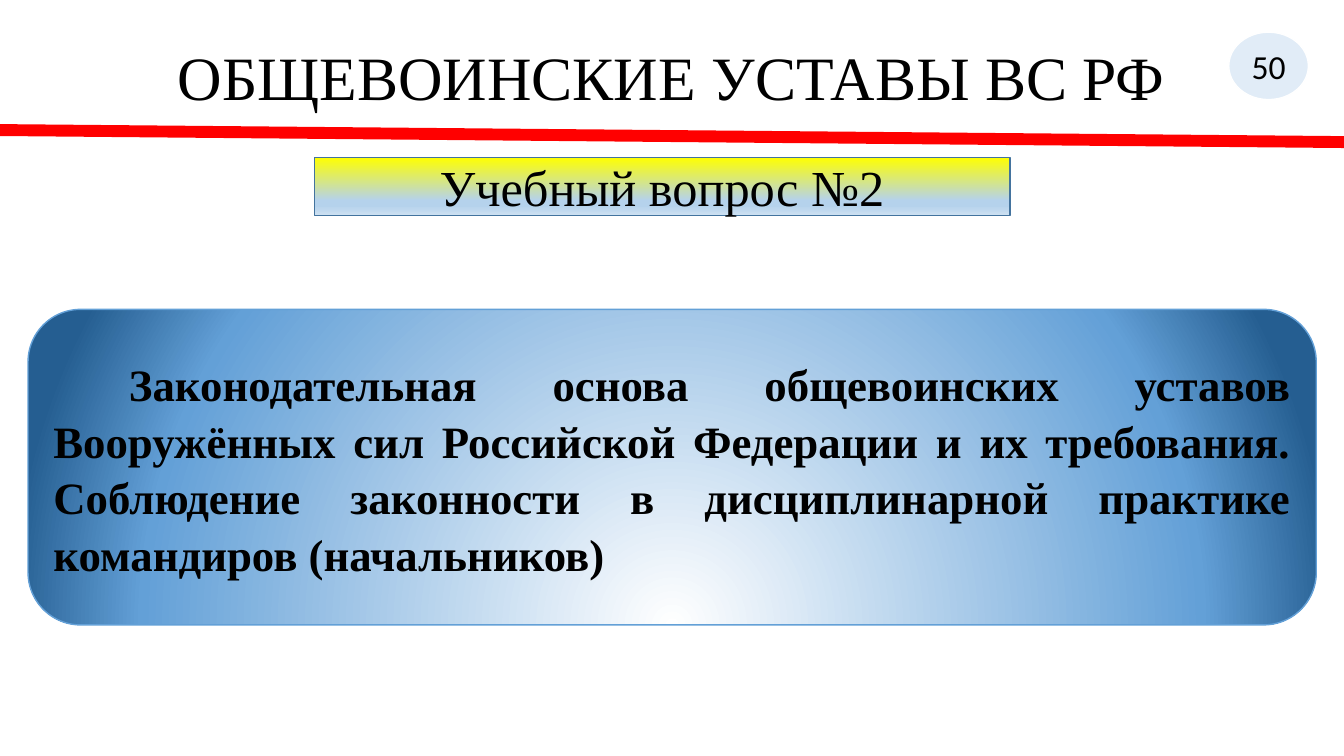
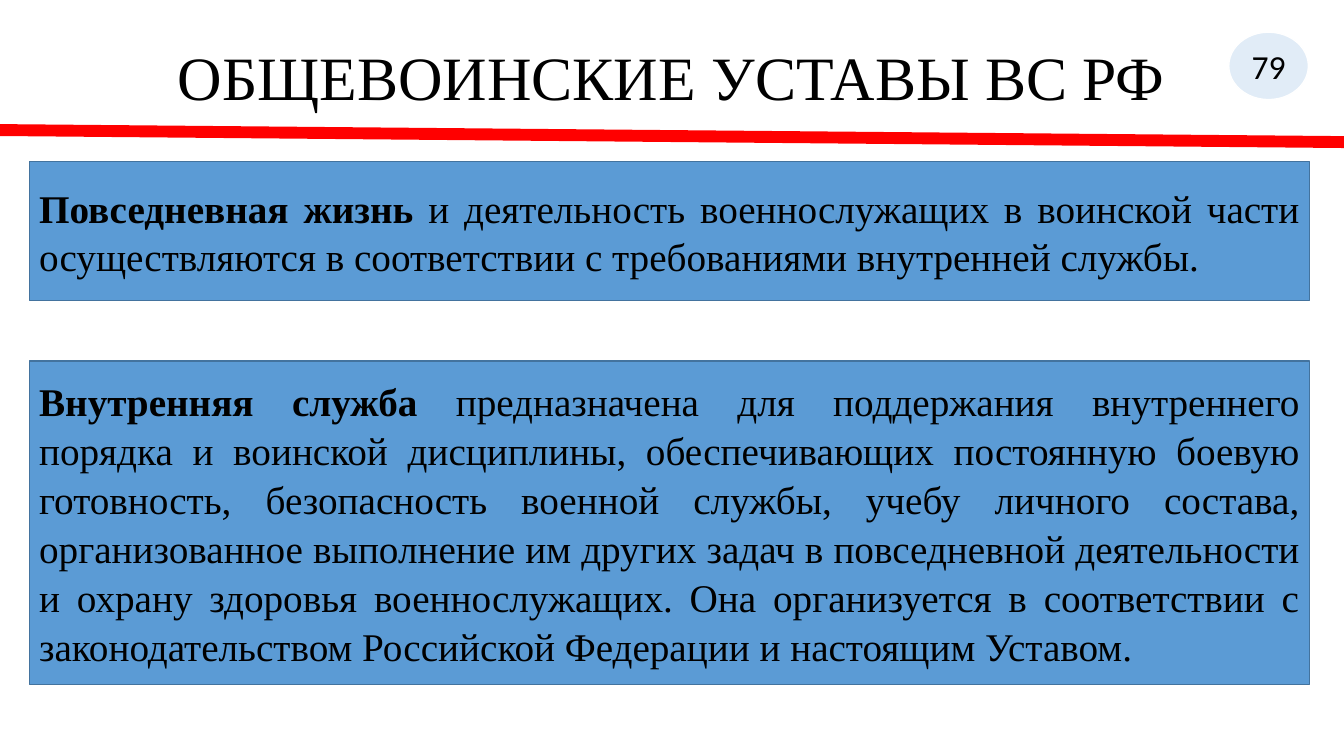
from dataclasses import dataclass
from typing import Optional

from lxml import etree
from pptx import Presentation
from pptx.dml.color import RGBColor
from pptx.enum.shapes import MSO_CONNECTOR, MSO_SHAPE
from pptx.enum.text import MSO_ANCHOR, MSO_AUTO_SIZE, PP_ALIGN
from pptx.oxml.ns import qn
from pptx.util import Pt

RECT, ROUND, OVAL = MSO_SHAPE.RECTANGLE, MSO_SHAPE.ROUNDED_RECTANGLE, MSO_SHAPE.OVAL
STRAIGHT = MSO_CONNECTOR.STRAIGHT
CENTER, JUSTIFY = PP_ALIGN.CENTER, PP_ALIGN.JUSTIFY
MIDDLE, FIXED = MSO_ANCHOR.MIDDLE, MSO_AUTO_SIZE.NONE

WIDE, HIGH = 960, 540
SERIF, SANS = "Times New Roman", "Calibri"
BLACK, WHITE, RED = "000000", "FFFFFF", "FF0000"
BLUE, EDGE, LIGHT = "5B9BD5", "43739E", "63A0D7"
TITLE = "ОБЩЕВОИНСКИЕ УСТАВЫ ВС РФ"


@dataclass
class Fade:
    stops: list[tuple[int, str]]
    angle: int = 0
    focus: Optional[tuple[int, int, int, int]] = None  # l, t, r, b in percent


@dataclass
class Box:
    left: float
    top: float
    width: float
    height: float
    runs: list[tuple[str, bool]]
    size: float
    kind: MSO_SHAPE = RECT
    fill: str | Fade = BLUE
    line: str = EDGE
    align: PP_ALIGN = JUSTIFY
    font: str = SERIF
    alpha: int = 100
    lead: float = 1.0
    indent: float = 0


@dataclass
class Page:
    number: str
    boxes: list[Box]


def color(code: str) -> RGBColor:
    return RGBColor.from_string(code)


def style(font, name: str, size: float, bold: bool = False) -> None:
    font.name, font.size, font.bold = name, Pt(size), bold
    font.color.rgb = color(BLACK)


def blend(shape, fade: Fade) -> None:
    """Fill a shape with a linear or circular gradient."""
    shape.fill.gradient()
    grad = shape.element.spPr.find(qn("a:gradFill"))
    for child in list(grad):
        grad.remove(child)
    stops = etree.SubElement(grad, qn("a:gsLst"))
    for place, code in fade.stops:
        stop = etree.SubElement(stops, qn("a:gs"), pos=str(place * 1000))
        etree.SubElement(stop, qn("a:srgbClr"), val=code)
    if fade.focus:
        ring = etree.SubElement(grad, qn("a:path"), {"path": "circle"})
        sides = {side: str(part * 1000) for side, part in zip("ltrb", fade.focus)}
        etree.SubElement(ring, qn("a:fillToRect"), sides)
    else:
        etree.SubElement(grad, qn("a:lin"), ang=str(fade.angle * 60000), scaled="0")


def draw(slide, box: Box) -> None:
    shape = slide.shapes.add_shape(
        box.kind, Pt(box.left), Pt(box.top), Pt(box.width), Pt(box.height))
    shape.shadow.inherit = False
    if isinstance(box.fill, Fade):
        blend(shape, box.fill)
    else:
        shape.fill.solid()
        shape.fill.fore_color.rgb = color(box.fill)
        if box.alpha < 100:
            tint = shape.element.spPr.find(qn("a:solidFill"))[0]
            etree.SubElement(tint, qn("a:alpha"), val=str(box.alpha * 1000))
    shape.line.color.rgb = color(box.line)
    shape.line.width = Pt(1)

    # Text
    frame = shape.text_frame
    frame.word_wrap = True
    frame.vertical_anchor = MIDDLE
    para = frame.paragraphs[0]
    para.alignment, para.line_spacing = box.align, box.lead
    if box.indent:
        props = para._p.get_or_add_pPr()
        props.set("marL", "0")
        props.set("indent", str(Pt(box.indent)))
    for text, bold in box.runs:
        run = para.add_run()
        run.text = text
        style(run.font, box.font, box.size, bold)


def frame_page(slide, number: str) -> None:
    """Draw the title, red rule and page badge."""
    title = slide.shapes.title
    title.left, title.top, title.width, title.height = Pt(66), Pt(27), Pt(828), Pt(54)
    text = title.text_frame
    text.text = TITLE
    text.auto_size, text.vertical_anchor = FIXED, MIDDLE
    text.paragraphs[0].alignment = CENTER
    style(text.paragraphs[0].runs[0].font, SERIF, 44)

    rule = slide.shapes.add_connector(STRAIGHT, Pt(0), Pt(92.9), Pt(WIDE), Pt(101.5))
    rule.line.color.rgb = color(RED)
    rule.line.width = Pt(8.5)
    etree.SubElement(rule.element.spPr, qn("a:effectLst"))

    draw(slide, Box(877.7, 23, 56.9, 48.2, [(number, False)], 24, kind=OVAL,
                    line=WHITE, align=CENTER, font=SANS, alpha=18))


def panel(top: float, height: float, head: str, body: str) -> Box:
    return Box(20.9, top, 914.4, height, [(head, True), (body, False)], 28, lead=1.04)


BANNER = Fade([(0, "FFFF00"), (74, "B5D2EC"), (83, "B5D2EC"), (100, "CEE1F2")], angle=90)
GLOW = Fade([(0, WHITE), (80, LIGHT), (100, "255E91")], focus=(50, 130, 50, -30))

PAGES = [
    Page("50", [
        Box(224.6, 112.3, 496.8, 41.8, [("Учебный вопрос №2", False)], 36,
            fill=BANNER, align=CENTER),
        Box(20, 221, 920.2, 225.4, [(
            "Законодательная основа общевоинских уставов Вооружённых сил "
            "Российской Федерации и их требования. Соблюдение законности в "
            "дисциплинарной практике командиров (начальников)", True)], 32,
            kind=ROUND, fill=GLOW, line=LIGHT, lead=1.05, indent=54),
    ]),
    Page("79", [
        panel(115.2, 99.4, "Повседневная жизнь",
              " и деятельность военнослужащих в воинской части осуществляются "
              "в соответствии с требованиями внутренней службы."),
        panel(257.8, 231, "Внутренняя служба ",
              "предназначена для поддержания внутреннего порядка и воинской "
              "дисциплины, обеспечивающих постоянную боевую готовность, "
              "безопасность военной службы, учебу личного состава, "
              "организованное выполнение им других задач в повседневной "
              "деятельности и охрану здоровья военнослужащих. Она организуется "
              "в соответствии с законодательством Российской Федерации и "
              "настоящим Уставом."),
    ]),
]


def main() -> None:
    deck = Presentation()
    deck.slide_width, deck.slide_height = Pt(WIDE), Pt(HIGH)
    plain = deck.slide_layouts.get_by_name("Title Only")
    for page in PAGES:
        slide = deck.slides.add_slide(plain)
        frame_page(slide, page.number)
        for box in page.boxes:
            draw(slide, box)
    deck.save("out.pptx")


if __name__ == "__main__":
    main()
